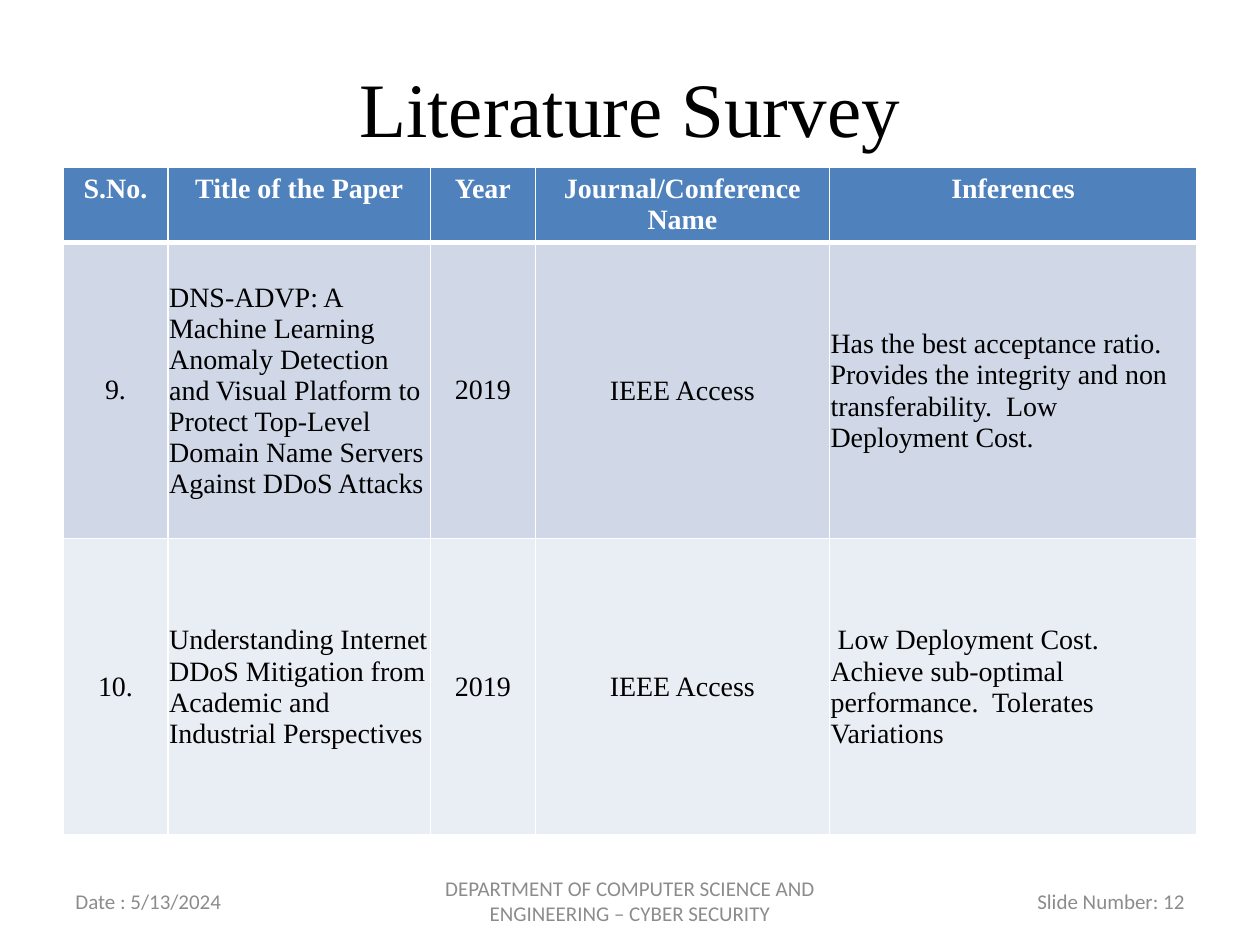
"""Build the literature survey slide with its paper table and footer."""
from lxml import etree
from pptx import Presentation
from pptx.dml.color import RGBColor
from pptx.enum.text import MSO_ANCHOR, MSO_AUTO_SIZE, PP_ALIGN
from pptx.oxml.ns import qn
from pptx.util import Inches, Pt

LEFT, MID, RIGHT = PP_ALIGN.LEFT, PP_ALIGN.CENTER, PP_ALIGN.RIGHT
TOP, CENTER = MSO_ANCHOR.TOP, MSO_ANCHOR.MIDDLE
FIXED = MSO_AUTO_SIZE.NONE

BLACK = RGBColor(0x00, 0x00, 0x00)
WHITE = RGBColor(0xFF, 0xFF, 0xFF)
BLUE = RGBColor(0x4F, 0x81, 0xBD)
GRAY = RGBColor(0x8C, 0x8C, 0x8C)
BANDS = RGBColor(0xD0, 0xD8, 0xE8), RGBColor(0xE9, 0xED, 0xF4)

SERIF = "Times New Roman"
HEAD_FONT = {"name": SERIF, "size": Pt(16), "bold": True}
BODY_FONT = {"name": SERIF, "size": Pt(16), "bold": False}
FOOT_FONT = {"name": "Calibri", "size": Pt(12)}
TIGHT = {"margin_left": Inches(0.01), "margin_right": Inches(0.01),
         "margin_top": Inches(0.01), "margin_bottom": 0}

COLS, ROWS = 12, 150
WIDTHS = [1, 2.5, 1, 2.8, 3.5]
HEIGHTS = [11.8, 47, 47]
ALIGNS = [MID, LEFT, MID, MID, LEFT]
SNUG = {1, 3, 4}
PAPERS = [
    ["S.No.", "Title of the Paper", "Year", "Journal/Conference Name",
     "Inferences"],
    ["9.", "DNS-ADVP: A Machine Learning Anomaly Detection and Visual "
     "Platform to Protect Top-Level Domain Name Servers Against DDoS Attacks",
     "2019", "IEEE Access",
     "Has the best acceptance ratio.  Provides the integrity and non "
     "transferability.  Low Deployment Cost."],
    ["10.", "Understanding Internet DDoS Mitigation from Academic and "
     "Industrial Perspectives", "2019", "IEEE Access",
     " Low Deployment Cost.  Achieve sub-optimal performance.  Tolerates "
     "Variations"],
]
FOOTER = [
    (0.6, 2.8, "Date : 5/13/2024", LEFT),
    (4.1, 3.8, "DEPARTMENT OF COMPUTER SCIENCE AND ENGINEERING – CYBER "
     "SECURITY", MID),
    (8.6, 2.8, "Slide Number: 12", RIGHT),
]


def apply(item, values):
    """Set each named value on the item."""
    for name, value in values.items():
        setattr(item, name, value)


class Deck:
    """Hold the grid and the current slide."""

    def __init__(self):
        """Start a file with one title-only slide."""
        self.file = Presentation()
        apply(self.file, {"slide_width": Inches(10),
                          "slide_height": Inches(7.5)})
        self.slide = self.file.slides.add_slide(self.file.slide_layouts[5])

    def col(self, count):
        """Turn grid columns into a length."""
        return round(self.file.slide_width * count / COLS)

    def row(self, count):
        """Turn grid rows into a length."""
        return round(self.file.slide_height * count / ROWS)

    def box(self, x, y, w, h):
        """Turn a grid area into lengths."""
        return self.col(x), self.row(y), self.col(w), self.row(h)

    def text(self, frame, words, align, color, font):
        """Put one styled paragraph in a text frame."""
        frame.text = words
        line = frame.paragraphs[0]
        line.alignment = align
        style = line.runs[0].font
        apply(style, font)
        style.color.rgb = color

    def title(self, words, *area):
        """Place and fill the title."""
        shape = self.slide.shapes.title
        apply(shape, dict(zip(("left", "top", "width", "height"),
                              self.box(*area))))
        apply(shape.text_frame, {"auto_size": FIXED,
                                 "vertical_anchor": CENTER})
        self.text(shape.text_frame, words, MID, BLACK,
                  {"name": SERIF, "size": Pt(44)})

    def label(self, words, align, *area):
        """Add one footer text."""
        frame = self.slide.shapes.add_textbox(*self.box(*area)).text_frame
        apply(frame, {"word_wrap": True, "vertical_anchor": CENTER})
        self.text(frame, words, align, GRAY, FOOT_FONT)

    def edge(self, cell, sides):
        """Draw white borders of the given widths."""
        props = cell._tc.get_or_add_tcPr()
        for side, width in sides.items():
            line = etree.SubElement(props, qn(f"a:ln{side}"),
                                    w=str(Pt(width)))
            fill = etree.SubElement(line, qn("a:solidFill"))
            etree.SubElement(fill, qn("a:srgbClr"), val=str(WHITE))

    def cell(self, cell, words, r, c):
        """Fill and style one table cell."""
        head = r == 0
        self.edge(cell, {"L": 1, "R": 1, "T": 3 if r == 1 else 1,
                         "B": 3 if head else 1})
        cell.fill.solid()
        cell.fill.fore_color.rgb = BLUE if head else BANDS[r - 1]
        cell.vertical_anchor = TOP if head else CENTER
        if not head and c in SNUG:
            apply(cell, TIGHT)
        self.text(cell.text_frame, words, MID if head else ALIGNS[c],
                  WHITE if head else BLACK, HEAD_FONT if head else BODY_FONT)

    def table(self, data, x, y):
        """Add the table of papers."""
        area = self.box(x, y, sum(WIDTHS), sum(HEIGHTS))
        grid = self.slide.shapes.add_table(len(data), len(WIDTHS), *area).table
        for column, width in zip(grid.columns, WIDTHS):
            column.width = self.col(width)
        for r, texts in enumerate(data):
            grid.rows[r].height = self.row(HEIGHTS[r])
            for c, words in enumerate(texts):
                self.cell(grid.cell(r, c), words, r, c)


def main():
    """Build and save the slide."""
    deck = Deck()
    deck.title("Literature Survey", 0.6, 4.4, 10.8, 25)
    deck.table(PAPERS, 0.6, 26.6)
    for x, width, words, align in FOOTER:
        deck.label(words, align, x, 139, width, 8)
    deck.file.save("out.pptx")


if __name__ == "__main__":
    main()
